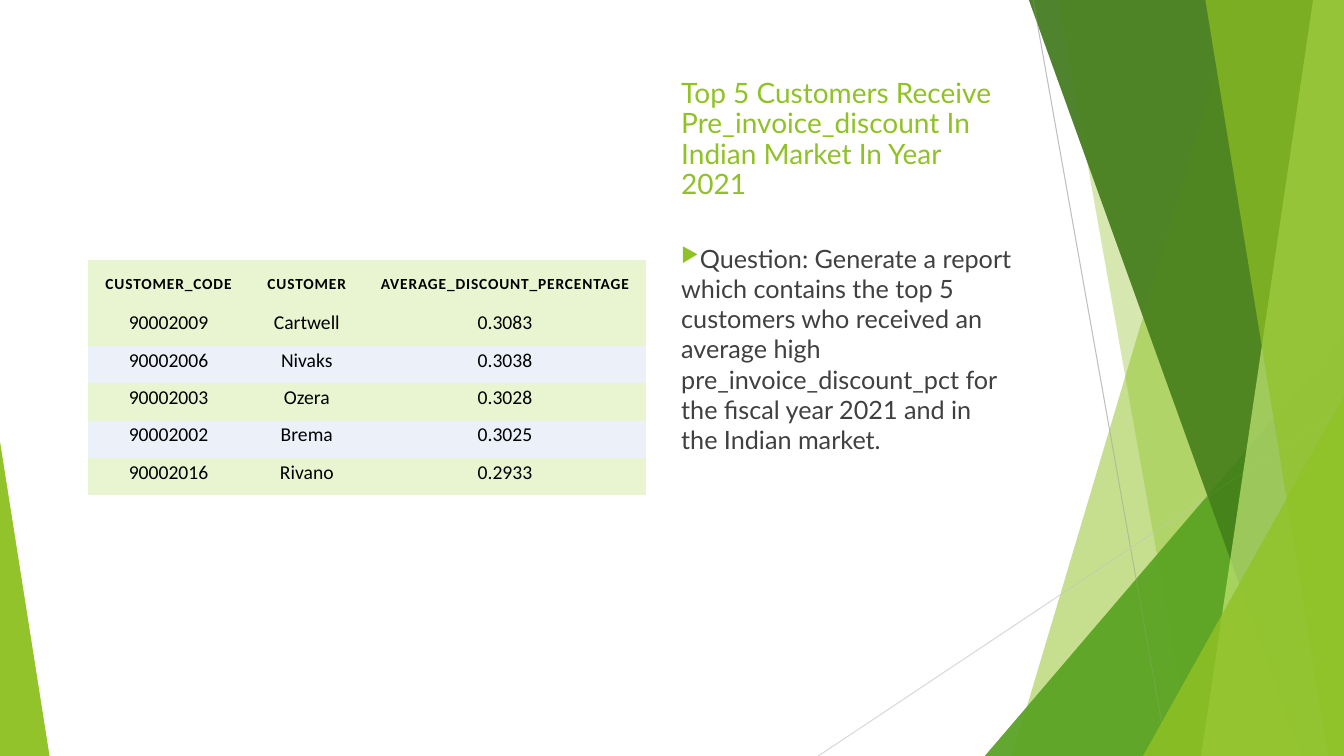
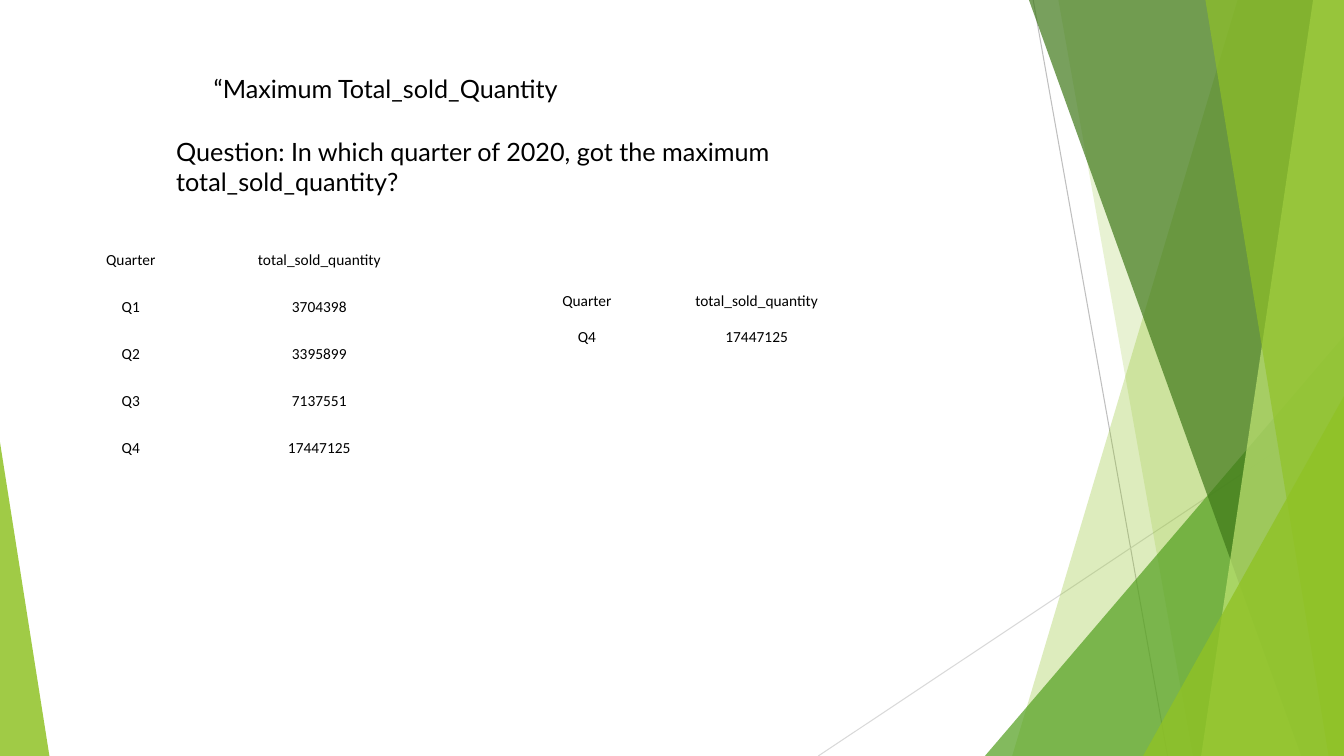
"""Build two report slides with a green faceted backdrop."""
from dataclasses import dataclass

from lxml import etree
from pptx import Presentation
from pptx.dml.color import RGBColor
from pptx.enum import shapes, text
from pptx.oxml.ns import qn
from pptx.util import Pt


@dataclass(frozen=True)
class Theme:
    green: str = "90C226"
    leaf: str = "54A021"
    forest: str = "3F7819"
    lime: str = "C0E474"
    dark_line: str = "BFBFBF"
    light_line: str = "D9D9D9"
    black: str = "000000"
    body: str = "404040"
    row_green: str = "E9F5D1"
    row_blue: str = "ECF1F9"
    text_font: str = "Lato"
    table_font: str = "Calibri"
    title_size: int = 20
    body_size: int = 18
    cell_size: int = 14
    small_size: int = 11


@dataclass(frozen=True)
class Band:
    """A facet reaching from top to bottom along the right edge."""
    top_x: float
    bottom_x: float
    color: str
    opacity: int


@dataclass(frozen=True)
class Wedge:
    """A right triangle standing on the bottom edge."""
    left: float
    top: float
    width: float
    apex: float
    color: str
    opacity: int


@dataclass(frozen=True)
class Line:
    start: tuple[float, float]
    end: tuple[float, float]
    color: str


@dataclass(frozen=True)
class Style:
    size: int
    color: str
    font: str
    bold: bool = False


@dataclass(frozen=True)
class Grid:
    left: float
    top: float
    columns: tuple[float, ...]
    heights: tuple[float, ...]
    rows: tuple[tuple[str, ...], ...]
    head: Style
    body: Style
    head_margin: float = 0.7
    bottom_margin: float = 0
    tracking: float = 0
    fills: tuple[str, ...] = ()


THEME = Theme()
WIDTH, HEIGHT = 960, 540
NO_GRID = "{2D5ABB26-0587-4C30-8999-92F81FD0307C}"
TITLE = Style(THEME.title_size, THEME.green, THEME.text_font)
BODY = Style(THEME.body_size, THEME.body, THEME.text_font)
PLAIN = Style(THEME.body_size, THEME.black, THEME.text_font)
CELL = Style(THEME.cell_size, THEME.black, THEME.table_font)
SMALL = Style(THEME.small_size, THEME.black, THEME.table_font)
HEAD = Style(THEME.small_size, THEME.black, THEME.table_font, True)

LINES = (
    Line((738, 0), (834, HEIGHT), THEME.dark_line),
    Line((WIDTH, 290), (584.5, HEIGHT), THEME.light_line),
)
FACETS = (
    Band(884, 723, THEME.green, 30),
    Band(756, 852, THEME.green, 20),
    Wedge(703.5, 240, 256.5, 1, THEME.leaf, 72),
    Band(735, 929.5, THEME.forest, 70),
    Band(938, 858, THEME.lime, 70),
    Band(861, 949, THEME.green, 65),
    Wedge(816.5, 283, 143.5, 1, THEME.green, 80),
    Wedge(0, 316, 35.3, 0, THEME.green, 85),
)
DISCOUNTS = Grid(
    62.8, 186, (115.3, 82.2, 201), (34.4,) + (26.7,) * 5,
    (
        ("CUSTOMER_CODE", "CUSTOMER", "AVERAGE_DISCOUNT_PERCENTAGE"),
        ("90002009", "Cartwell", "0.3083"),
        ("90002006", "Nivaks", "0.3038"),
        ("90002003", "Ozera", "0.3028"),
        ("90002002", "Brema", "0.3025"),
        ("90002016", "Rivano", "0.2933"),
    ),
    HEAD, CELL, head_margin=9.4, bottom_margin=6.5, tracking=0.6,
    fills=(THEME.row_green,) + (THEME.row_green, THEME.row_blue) * 2 + (THEME.row_green,),
)
QUARTER_HEAD = ("Quarter", "total_sold_quantity")
BEST_QUARTER = ("Q4", "17447125")
QUARTERS = Grid(
    49.8, 169.3, (87.2, 182.2), (33.4,) * 5,
    (QUARTER_HEAD, ("Q1", "3704398"), ("Q2", "3395899"), ("Q3", "7137551"), BEST_QUARTER),
    SMALL, SMALL,
)
MAXIMUM = Grid(370, 202.6, (98.5, 144), (25.4,) * 2, (QUARTER_HEAD, BEST_QUARTER), SMALL, SMALL)


def write(para, words: str, style: Style) -> None:
    """Put styled words into a paragraph."""
    para.text = words
    font = para.font
    font.name, font.size, font.bold = style.font, Pt(style.size), style.bold
    font.color.rgb = RGBColor.from_string(style.color)


def draw_line(page, line: Line) -> None:
    """Draw one thin line without a shadow."""
    ends = [Pt(value) for value in line.start + line.end]
    connector = page.shapes.add_connector(shapes.MSO_CONNECTOR.STRAIGHT, *ends)
    connector.line.color.rgb = RGBColor.from_string(line.color)
    connector.line.width = Pt(0.75)
    etree.SubElement(connector.element.spPr, qn("a:effectLst"))


def draw_facet(page, facet: Band | Wedge) -> None:
    """Draw one translucent facet."""
    if isinstance(facet, Band):
        builder = page.shapes.build_freeform(Pt(facet.top_x), 0)
        corners = ((WIDTH, 0), (WIDTH, HEIGHT), (facet.bottom_x, HEIGHT))
        builder.add_line_segments([(Pt(x), Pt(y)) for x, y in corners], close=True)
        shape = builder.convert_to_shape()
    else:
        shape = page.shapes.add_shape(
            shapes.MSO_SHAPE.ISOSCELES_TRIANGLE, Pt(facet.left), Pt(facet.top),
            Pt(facet.width), Pt(HEIGHT - facet.top))
        shape.adjustments[0] = facet.apex
    shape.shadow.inherit = False
    shape.line.fill.background()
    shape.fill.solid()
    shape.fill.fore_color.rgb = RGBColor.from_string(facet.color)
    color = shape.element.spPr.find(".//" + qn("a:srgbClr"))
    etree.SubElement(color, qn("a:alpha"), val=str(facet.opacity * 1000))


def draw_facets(page) -> None:
    """Draw the whole set of facets."""
    for facet in FACETS:
        draw_facet(page, facet)


def draw_backdrop(page) -> None:
    """Draw the lines with the facets over them."""
    for line in LINES:
        draw_line(page, line)
    draw_facets(page)


def add_text(page, left: float, top: float, width: float, height: float,
             words: str, style: Style):
    """Add a wrapping text box and return it."""
    box = page.shapes.add_textbox(Pt(left), Pt(top), Pt(width), Pt(height))
    box.text_frame.word_wrap = True
    write(box.text_frame.paragraphs[0], words, style)
    return box


def add_bullet(box) -> None:
    """Give the first paragraph a green arrow bullet."""
    font = box.element.find(".//" + qn("a:defRPr"))
    color = etree.Element(qn("a:buClr"))
    etree.SubElement(color, qn("a:srgbClr"), val=THEME.green)
    size = etree.Element(qn("a:buSzPct"), val="80000")
    mark = etree.Element(qn("a:buChar"), char="▶")
    for item in (color, size, mark):
        font.addprevious(item)


def add_grid(page, grid: Grid) -> None:
    """Add a table with centred cells and no borders."""
    frame = page.shapes.add_table(
        len(grid.rows), len(grid.columns), Pt(grid.left), Pt(grid.top),
        Pt(sum(grid.columns)), Pt(sum(grid.heights)))
    table = frame.table
    table.first_row = table.horz_banding = False
    frame.element.find(".//" + qn("a:tableStyleId")).text = NO_GRID
    for column, width in zip(table.columns, grid.columns):
        column.width = Pt(width)
    for index, (row, height) in enumerate(zip(table.rows, grid.heights)):
        row.height = Pt(height)
        margin = 0.7 if index else grid.head_margin
        bottom = grid.bottom_margin if index else max(grid.head_margin, 0.7)
        for cell, words in zip(row.cells, grid.rows[index]):
            cell.margin_left = cell.margin_right = cell.margin_top = Pt(margin)
            cell.margin_bottom = Pt(bottom)
            cell.vertical_anchor = text.MSO_ANCHOR.MIDDLE
            para = cell.text_frame.paragraphs[0]
            para.alignment = text.PP_ALIGN.CENTER
            write(para, words, grid.body if index else grid.head)
            if grid.fills:
                cell.fill.solid()
                cell.fill.fore_color.rgb = RGBColor.from_string(grid.fills[index])
            else:
                cell.fill.background()
    if grid.tracking:
        for font in frame.element.find(".//" + qn("a:tr")).iter(qn("a:defRPr")):
            font.set("spc", str(round(grid.tracking * 100)))


def build_discounts(page) -> None:
    """Build the customer discount slide."""
    draw_facets(page)
    draw_backdrop(page)
    title = add_text(page, 479.5, 48, 250.5, 104,
                     "Top 5 Customers Receive Pre_invoice_discount In Indian Market In Year 2021",
                     TITLE)
    title.text_frame.vertical_anchor = text.MSO_ANCHOR.MIDDLE
    heading = title.text_frame.paragraphs[0]
    heading.line_spacing, heading.space_after = 0.9, Pt(6)
    question = add_text(page, 479.5, 170, 250, 305,
                        "Question: Generate a report which contains the top 5 customers who "
                        "received an average high pre_invoice_discount_pct for the fiscal year "
                        "2021 and in the Indian market.", BODY)
    question.text_frame.paragraphs[0].space_before = Pt(10)
    add_bullet(question)
    add_grid(page, DISCOUNTS)


def build_quarters(page) -> None:
    """Build the quarterly quantity slide."""
    draw_backdrop(page)
    add_text(page, 145.5, 49, 384.5, 29, "“Maximum Total_sold_Quantity", PLAIN)
    add_text(page, 118.8, 93.6, 471.6, 51,
             "Question: In which quarter of 2020, got the maximum total_sold_quantity?", PLAIN)
    add_grid(page, QUARTERS)
    add_grid(page, MAXIMUM)


def main() -> None:
    """Build and save the deck."""
    deck = Presentation()
    deck.slide_width, deck.slide_height = Pt(WIDTH), Pt(HEIGHT)
    for build in (build_discounts, build_quarters):
        build(deck.slides.add_slide(deck.slide_layouts[6]))
    deck.save("out.pptx")


if __name__ == "__main__":
    main()
